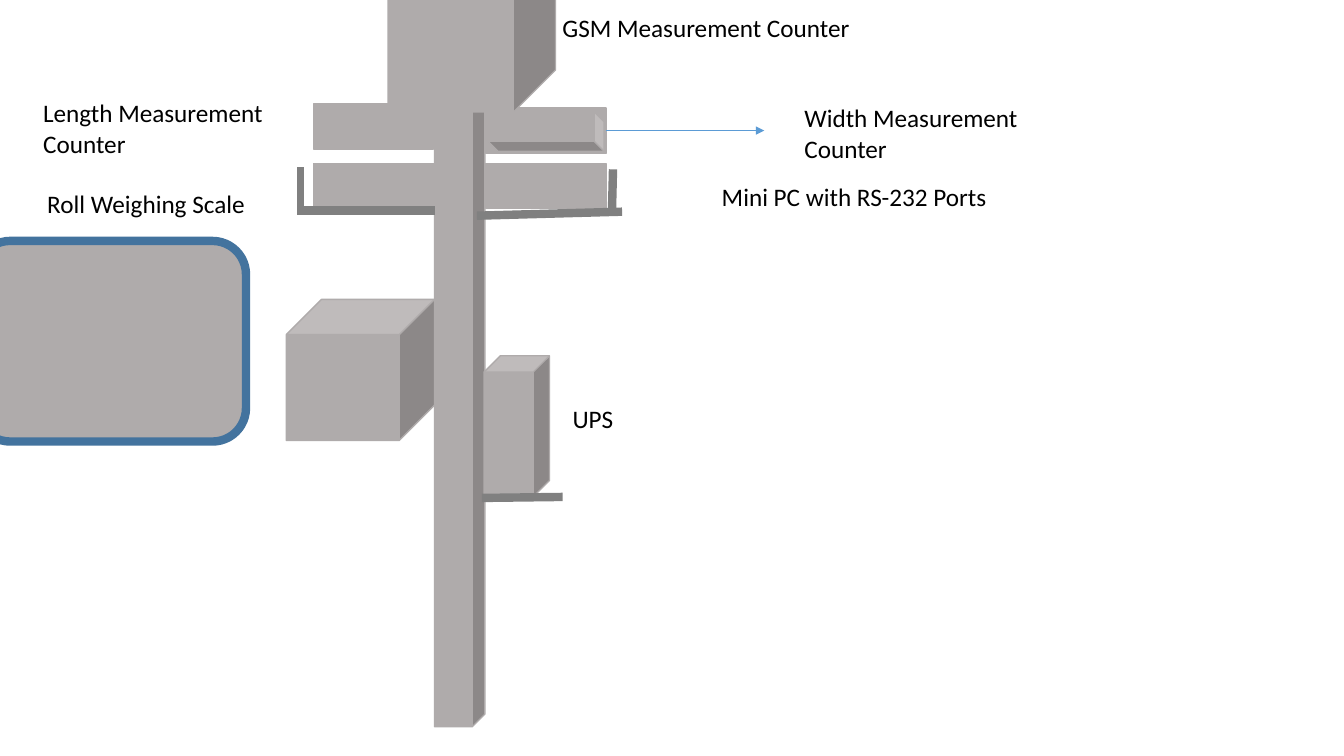
from collections import namedtuple

from lxml import etree
from pptx import Presentation
from pptx.dml.color import RGBColor
from pptx.enum import shapes, text
from pptx.oxml import ns
from pptx.util import Inches, Pt

COLORS = {"body": "AFABAB", "rail": "808080", "arrow": "5B9BD5",
          "frame": "43739E", "ink": "000000"}
PRESETS = shapes.MSO_SHAPE
Box = namedtuple("Box", "left top width height")


def color(name):
    return RGBColor.from_string(COLORS[name])


def add_part(page, preset, box, outline="body", weight=1):
    part = page.shapes.add_shape(preset, *map(Inches, box))
    part.shadow.inherit = False
    part.fill.solid()
    part.fill.fore_color.rgb = color("body")
    part.line.color.rgb = color(outline)
    part.line.width = Pt(weight)
    return part


def add_line(page, box, start, end, weight=6, stroke="rail"):
    """Draw a straight line; start and end are offsets from the box corner."""
    points = [Inches(origin + offset) for point in (start, end)
              for origin, offset in zip(box[:2], point)]
    line = page.shapes.add_connector(shapes.MSO_CONNECTOR.STRAIGHT, *points)
    line.line.color.rgb = color(stroke)
    line.line.width = Pt(weight)
    etree.SubElement(line._element.spPr, ns.qn("a:effectLst"))
    return line


def add_label(page, box, offset, width, wording, height=0.4):
    label = page.shapes.add_textbox(
        Inches(box.left + offset[0]), Inches(box.top + offset[1]),
        Inches(width), Inches(height))
    frame = label.text_frame
    frame.word_wrap = True
    frame.auto_size = text.MSO_AUTO_SIZE.SHAPE_TO_FIT_TEXT
    frame.text = wording
    font = frame.paragraphs[0].runs[0].font
    font.name, font.size = "Calibri", Pt(18)
    font.color.rgb = color("ink")


def draw_column(page, box):
    add_part(page, PRESETS.CUBE, box)


def draw_width_counter(page, box):
    arm = add_part(page, PRESETS.FLOWCHART_PROCESS, box)
    sensor = add_part(page, PRESETS.CUBE,
                      Box(box.left + 0.4, box.top - 0.34, 0.39, 1.15))
    sensor.rotation = 90
    middle = box.height / 2
    arrow = add_line(page, box, (box.width, middle), (box.width + 1.57, middle),
                     0.5, "arrow")
    arrow.begin_connect(arm, 3)
    etree.SubElement(arrow.line._get_or_add_ln(), ns.qn("a:tailEnd"),
                     type="triangle")
    add_label(page, box, (3.06, -0.1), 2.37, "Width Measurement Counter", 0.71)


def draw_mini_pc(page, box):
    add_part(page, PRESETS.FLOWCHART_PROCESS, box)
    add_line(page, box, (1.26, 0.06), (1.25, 0.47))
    add_line(page, box, (-0.09, 0.52), (1.35, 0.48))
    add_label(page, box, (2.24, 0.13), 3.49, "Mini PC with RS-232 Ports")


def draw_length_counter(page, box):
    add_part(page, PRESETS.FLOWCHART_PROCESS, box)
    add_label(page, box, (-2.78, -0.11), 2.93, "Length Measurement Counter", 0.71)


def draw_left_tray(page, box):
    add_part(page, PRESETS.FLOWCHART_PROCESS, box)
    add_line(page, box, (-0.16, 0.47), (1.2, 0.47))
    add_line(page, box, (-0.13, 0.04), (-0.13, 0.49), 4.5)


def draw_gsm_counter(page, box):
    add_part(page, PRESETS.CUBE, box)
    add_label(page, box, (1.63, 0.69), 3.62, "GSM Measurement Counter")


def draw_weighing_scale(page, box):
    add_part(page, PRESETS.CUBE, box)
    add_label(page, box, (-2.47, -1.15), 3.82, "Roll Weighing Scale")


def draw_ups(page, box):
    add_part(page, PRESETS.CUBE, box)
    add_line(page, box, (-0.02, 1.41), (0.78, 1.4))
    add_label(page, box, (0.78, 0.42), 3.49, "UPS")


def draw_framed_panel(page, box):
    add_part(page, PRESETS.ROUNDED_RECTANGLE, box, "frame", 6)


def main():
    deck = Presentation()
    deck.slide_width, deck.slide_height = Inches(13.33), Inches(7.5)
    page = deck.slides.add_slide(deck.slide_layouts[6])
    arm = (1.19, 0.45)
    left_arm, right_arm, lower_arm = 3.11, 4.82, 1.62

    draw_column(page, Box(4.31, 0.88, 0.5, 6.33))
    draw_left_tray(page, Box(left_arm, lower_arm, *arm))
    draw_width_counter(page, Box(right_arm, 1.07, *arm))
    draw_mini_pc(page, Box(right_arm, lower_arm, *arm))
    draw_length_counter(page, Box(left_arm, 1.03, *arm))
    draw_weighing_scale(page, Box(2.84, 2.97, 1.47, 1.4))
    draw_gsm_counter(page, Box(3.85, -0.62, 1.66, 1.73))
    draw_ups(page, Box(4.8, 3.53, 0.65, 1.4))
    draw_framed_panel(page, Box(-0.23, 2.39, 2.67, 1.99))
    deck.save("out.pptx")


if __name__ == "__main__":
    main()
